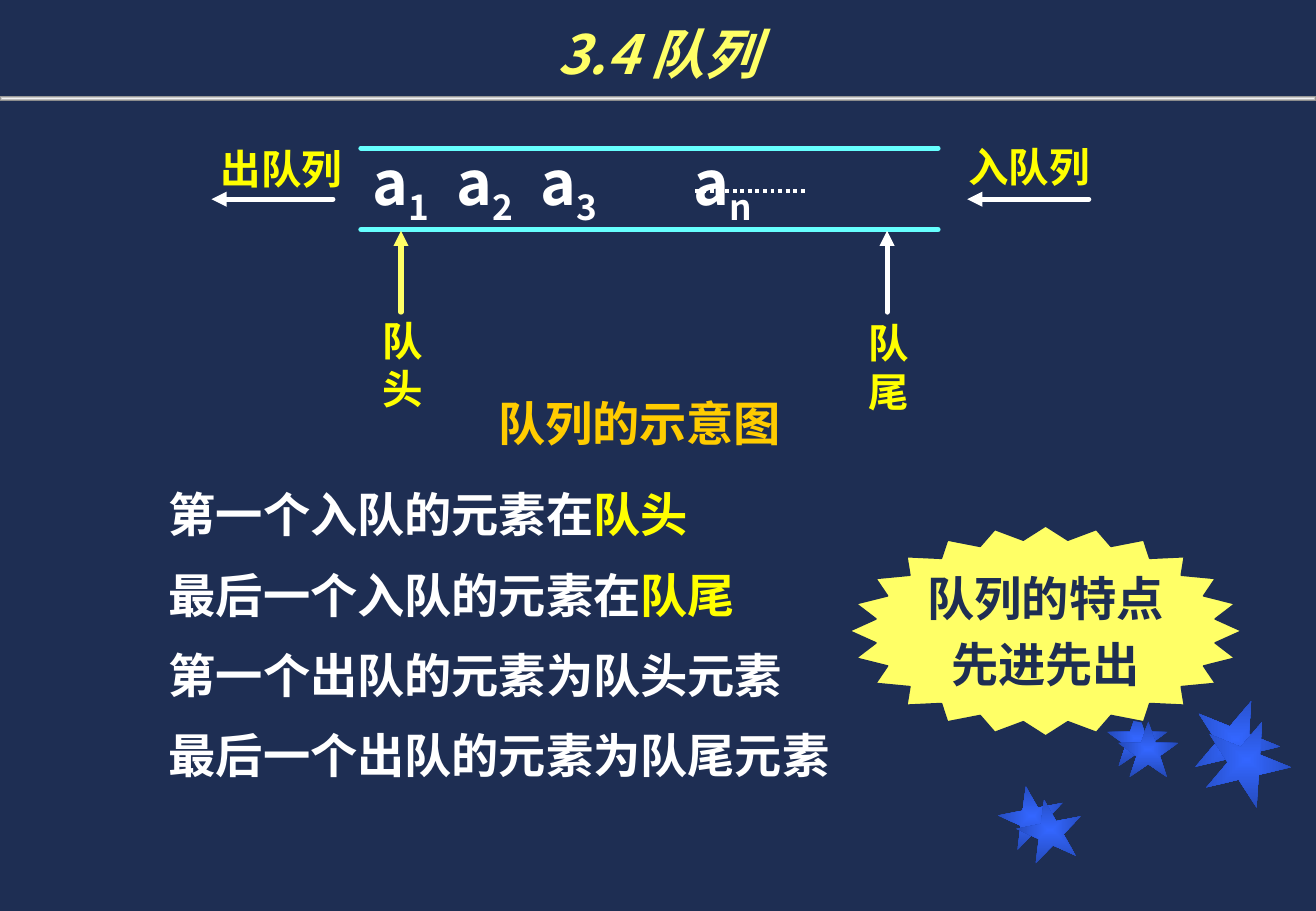
from lxml import etree
from pptx import Presentation
from pptx.dml.color import RGBColor
from pptx.enum.dml import MSO_LINE as Dash
from pptx.enum.shapes import MSO_CONNECTOR as Conn, MSO_SHAPE as Form
from pptx.enum.text import MSO_ANCHOR as Anchor, MSO_AUTO_SIZE as Fit, PP_ALIGN as Align
from pptx.oxml.ns import qn
from pptx.util import Inches, Pt

HUES = {"navy": "1E2E53", "white": "FFFFFF", "yellow": "FFFF00",
        "lemon": "FFFF66", "gold": "FFCC00", "cyan": "66FFFF",
        "blue": "3366FF", "deep": "2449B6", "pale": "F2F2F2", "gray": "808080"}
SANS, SERIF = "Noto Sans CJK SC", "Times New Roman"


def hue(name):
    return RGBColor.from_string(HUES[name])


def sub(node, tag, **attrs):
    return etree.SubElement(node, qn(tag), attrs)


def style(run, color, size, font=SANS, italic=False):
    look = {"name": font, "size": Pt(size), "bold": True, "italic": italic}
    for key, value in look.items():
        setattr(run.font, key, value)
    run.font.color.rgb = hue(color)
    sub(run.font._element, "a:ea", typeface=SANS)


def write(para, parts, size, font=SANS, italic=False):
    """Add (text, colour) runs to a paragraph and return them."""
    runs = []
    for text, color in parts:
        run = para.add_run()
        run.text = text
        style(run, color, size, font, italic)
        runs.append(run)
    return runs


def box(slide, x, y, w, h):
    frame = slide.shapes.add_textbox(Inches(x), Inches(y), Inches(w), Inches(h)).text_frame
    frame.word_wrap = True
    frame.auto_size = Fit.SHAPE_TO_FIT_TEXT
    return frame


def label(slide, text, x, y, w, h, color="yellow", size=24):
    write(box(slide, x, y, w, h).paragraphs[0], [(text, color)], size)


def line(slide, x1, y1, x2, y2, color, width=3, arrow=False, dash=None):
    link = slide.shapes.add_connector(
        Conn.STRAIGHT, Inches(x1), Inches(y1), Inches(x2), Inches(y2))
    link.line.color.rgb = hue(color)
    link.line.width = Pt(width)
    ln = link.line._get_or_add_ln()
    if dash:
        link.line.dash_style = dash
    else:
        ln.set("cap", "rnd")
    if arrow:
        sub(ln, "a:tailEnd", type="triangle")
    sub(link._element.spPr, "a:effectLst")


def shape(slide, form, x, y, w, h):
    item = slide.shapes.add_shape(form, Inches(x), Inches(y), Inches(w), Inches(h))
    item.shadow.inherit = False
    item.line.fill.background()
    return item


def glow(item, inner, outer):
    """Fill a shape with a gradient that spreads from its centre."""
    item.fill.gradient()
    for stop, name in zip(item.fill.gradient_stops, (inner, outer)):
        stop.color.rgb = hue(name)
    grad = item._element.spPr.find(qn("a:gradFill"))
    grad.remove(grad.find(qn("a:lin")))
    ring = sub(grad, "a:path", path="shape")
    sub(ring, "a:fillToRect", l="50000", t="50000", r="50000", b="50000")


def stars(slide):
    pairs = [(8.22, 6.47, 0.54, 0.5, 349, 0.15, 0.11),
             (9.11, 5.85, 0.5, 0.46, 0, 0.09, 0.09),
             (9.81, 5.75, 0.72, 0.67, 22, 0.09, 0.17)]
    for step in (0, 1):
        for x, y, w, h, turn, dx, dy in pairs:
            star = shape(slide, Form.STAR_5_POINT, x + step * dx, y + step * dy, w, h)
            star.rotation = turn
            glow(star, "blue", "deep")


def header(slide, x, y, w, h):
    title = slide.shapes.title
    place = {"left": x, "top": y, "width": w, "height": h}
    for key, value in place.items():
        setattr(title, key, Inches(value))
    frame = title.text_frame
    frame.vertical_anchor = Anchor.BOTTOM
    frame.paragraphs[0].alignment = Align.CENTER
    write(frame.paragraphs[0], [("3.4 队列", "lemon")], 32, italic=True)
    glow(shape(slide, Form.RECTANGLE, x, y + h + 0.04, w, 0.04), "pale", "gray")


def queue(slide, x, y, w, h):
    """Draw the queue between two rails, with its arrows and labels."""
    para = box(slide, x, y - 0.08, 5.6, 0.7).paragraphs[0]
    for i, low in enumerate("123n"):
        lead = "\ta" if i else "a"
        runs = write(para, [(lead, "white"), (low, "white")], 36)
        runs[1].font._element.set("baseline", "-25000")
    tabs = sub(para._p.get_or_add_pPr(), "a:tabLst")
    for stop in (0.69, 1.38, 2.64):
        sub(tabs, "a:tab", pos=str(Inches(stop)), algn="l")
    line(slide, x + 2.75, y + 0.35, x + 3.66, y + 0.35, "white", 2.25,
         dash=Dash.ROUND_DOT)
    for rail in (y, y + h):
        line(slide, x, rail, x + w, rail, "cyan")
    for text, dx, dy, color in (("队头", 0.33, 0.66, "lemon"), ("队尾", 4.33, 0.68, "white")):
        line(slide, x + dx, y + h + 0.68, x + dx, y + h + 0.01, color, arrow=True)
        label(slide, text, x + dx - 0.25, y + h + dy, 0.5, 0.9)
    for text, dx, dy, wide, tip in (("出队列", -1.25, -0.08, 1.42, -1.23),
                                    ("入队列", 4.9, -0.1, 1.64, 4.99)):
        label(slide, text, x + dx, y + dy, wide, 0.5)
        line(slide, x + tip + 1, y + 0.42, x + tip, y + 0.42, "white", arrow=True)
    label(slide, "队列的示意图", x + 1.03, y + 1.98, 2.91, 0.57, "gold", 28)


def rows(frame, lines, gap, font=SANS):
    for i, parts in enumerate(lines):
        para = frame.add_paragraph() if i else frame.paragraphs[0]
        para.space_before = Pt(gap if i else 0)
        write(para, parts, 28, font)


def rules(slide, x, y, w, h):
    rows(box(slide, x, y, w, h), [
        [("第一个入队的元素在", "white"), ("队头", "yellow")],
        [("最后一个入队的元素在", "white"), ("队尾", "yellow")],
        [("第一个出队的元素为队头元素", "white")],
        [("最后一个出队的元素为队尾元素", "white")]], 14, SERIF)


def burst(slide, x, y, w, h):
    star = shape(slide, Form.STAR_24_POINT, x, y, w, h)
    star.adjustments[0] = 0.436
    star.fill.solid()
    star.fill.fore_color.rgb = hue("lemon")
    star.line.color.rgb = hue("navy")
    star.line.width = Pt(1)
    frame = star.text_frame
    frame.word_wrap = False
    frame.vertical_anchor = Anchor.MIDDLE
    rows(frame, [[("队列的特点", "navy")], [("先进先出", "navy")]], 5.6)
    for para in frame.paragraphs:
        para.alignment = Align.CENTER


def main():
    deck = Presentation()
    deck.slide_width, deck.slide_height = Inches(10.83), Inches(7.5)
    slide = deck.slides.add_slide(deck.slide_layouts[5])
    slide.background.fill.solid()
    slide.background.fill.fore_color.rgb = hue("navy")
    stars(slide)
    header(slide, 0, 0, 10.83, 0.75)
    queue(slide, 2.97, 1.22, 4.75, 0.67)
    burst(slide, 6.99, 4.33, 3.23, 1.73)
    rules(slide, 1.29, 3.95, 6.06, 2.67)
    deck.save("out.pptx")


if __name__ == "__main__":
    main()
